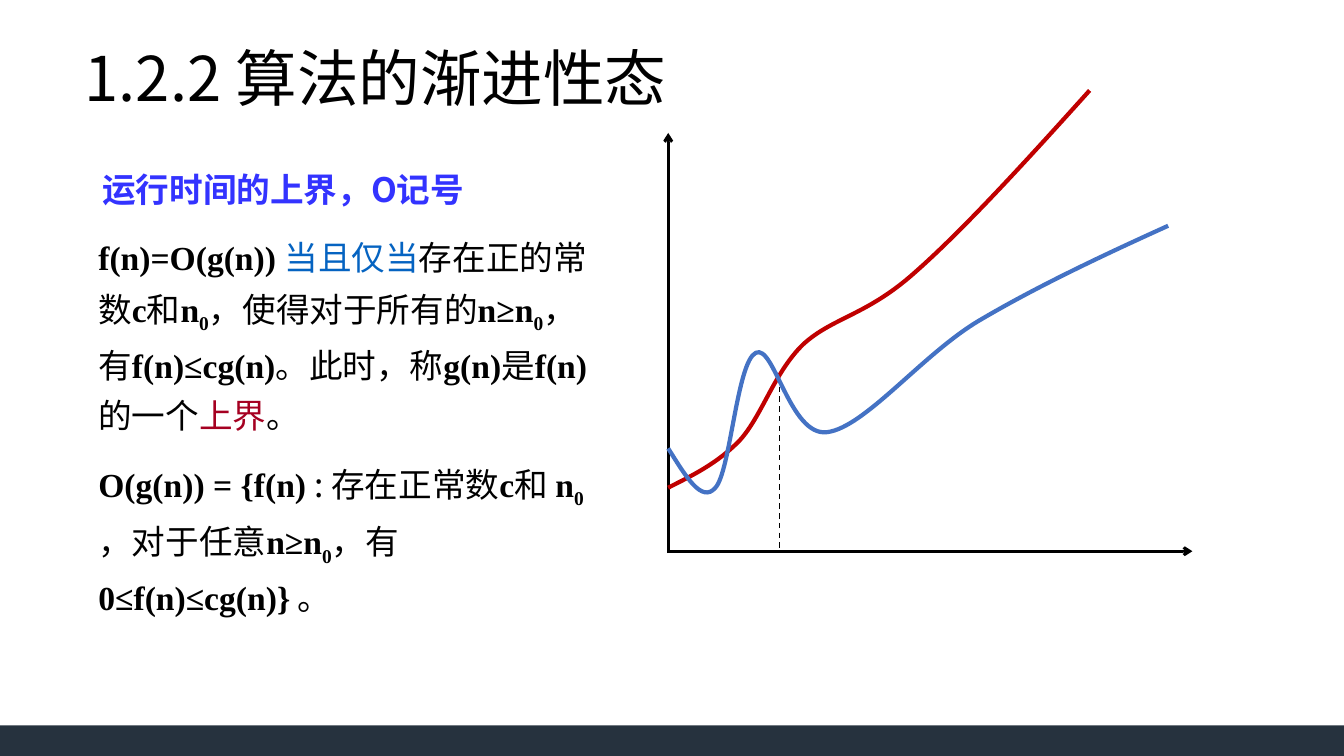
from dataclasses import dataclass

from lxml import etree
from pptx import Presentation
from pptx import util as u
from pptx.dml.color import RGBColor
from pptx.enum import dml, shapes, text
from pptx.oxml import ns


@dataclass(frozen=True)
class Theme:
    """Colours, fonts and type sizes of the deck."""
    ink: str = "000000"
    bar: str = "26323E"
    heading: str = "3333FF"
    link: str = "0563C1"
    accent: str = "A50021"
    upper: str = "C00000"
    lower: str = "4472C4"
    han: str = "Noto Sans CJK SC"
    math: str = "Times New Roman"
    title_size: int = 44
    body_size: int = 24


@dataclass(frozen=True)
class Box:
    """A rectangle in centimetres."""
    left: float
    top: float
    width: float
    height: float

    def lengths(self):
        """Return left, top, width and height as lengths."""
        return [u.Cm(side) for side in (self.left, self.top, self.width, self.height)]


THEME = Theme()
STYLES = {
    "han": {},
    "math": {"font": THEME.math, "bold": True},
    "sub": {"font": THEME.math, "bold": True, "baseline": -25000},
    "link": {"color": THEME.link},
    "accent": {"color": THEME.accent},
}
DEFINITION = [
    ("math", "f(n)=O(g(n)) "), ("link", "当且仅当"), ("han", "存在正的常数"),
    ("math", "c"), ("han", "和"), ("math", "n"), ("sub", "0"),
    ("han", "，使得对于所有的"), ("math", "n≥n"), ("sub", "0"), ("han", "，有"),
    ("math", "f(n)≤cg(n)"), ("han", "。此时，称"), ("math", "g(n)"), ("han", "是"),
    ("math", "f(n)"), ("han", "的一个"), ("accent", "上界"), ("han", "。"),
]
SET_FORM = [
    ("math", "O(g(n)) = {f(n) "), ("han", ": 存在正常数"), ("math", "c"),
    ("han", "和 "), ("math", "n"), ("sub", "0"), ("math", " "), ("han", "，对于任意"),
    ("math", "n≥n"), ("sub", "0"), ("han", "，有"), ("math", "0≤f(n)≤cg(n)}"),
    ("han", " 。"),
]
UPPER_CURVE = [
    (0, 1.6), (0.61, 1.91), (1.24, 2.21), (1.8, 2.79), (2.36, 3.4), (2.67, 4.5),
    (3.4, 5.21), (4.14, 5.89), (5, 5.94), (6.2, 7.01), (7.42, 8.08), (9.02, 9.83),
    (10.62, 11.61),
]
LOWER_CURVE = [
    (0, 2.59), (0.43, 1.91), (0.84, 1.19), (1.19, 1.6), (1.57, 2.01), (1.73, 4.78),
    (2.21, 5), (2.67, 5.23), (3.07, 2.87), (4.01, 3), (4.95, 3.12), (6.38, 4.93),
    (7.8, 5.79), (9.25, 6.65), (10.92, 7.44), (12.6, 8.2),
]


def add_span(para, words, font=THEME.han, size=THEME.body_size, color=THEME.ink,
             bold=False, baseline=0):
    """Append formatted words to a paragraph."""
    span = para.add_run()
    span.text = words
    span.font.name = font
    span.font.size = u.Pt(size)
    span.font.bold = bold
    span.font.color.rgb = RGBColor.from_string(color)
    properties = span.font._element
    properties.find(ns.qn("a:latin")).addnext(
        etree.Element(ns.qn("a:ea"), typeface=font))
    if baseline:
        properties.set("baseline", str(baseline))


def add_title(page, box, words):
    """Place and format the title placeholder."""
    title = page.shapes.title
    title.left, title.top, title.width, title.height = box.lengths()
    title.text_frame.vertical_anchor = text.MSO_ANCHOR.MIDDLE
    para = title.text_frame.paragraphs[0]
    para.alignment = text.PP_ALIGN.LEFT
    para.line_spacing = 0.9
    add_span(para, words, size=THEME.title_size)


def add_text(page, box, spacing, grow=False):
    """Add a wrapping text box and return its paragraph."""
    frame = page.shapes.add_textbox(*box.lengths()).text_frame
    frame.word_wrap = True
    if grow:
        frame.auto_size = text.MSO_AUTO_SIZE.SHAPE_TO_FIT_TEXT
    para = frame.paragraphs[0]
    para.line_spacing = spacing
    return para


def add_statement(page, box, spans):
    """Add a paragraph of mixed formulas and prose."""
    para = add_text(page, box, 1.25, grow=True)
    for style, words in spans:
        add_span(para, words, **STYLES[style])


def add_footer(page, box):
    """Draw the dark bar at the foot of the page."""
    bar = page.shapes.add_shape(shapes.MSO_SHAPE.RECTANGLE, *box.lengths())
    bar.shadow.inherit = False
    bar.fill.solid()
    bar.fill.fore_color.rgb = RGBColor.from_string(THEME.bar)
    bar.line.fill.background()


def add_line(page, start, end, width, arrow=False, dashed=False):
    """Draw a straight line between two points in centimetres."""
    ends = [u.Cm(value) for value in (*start, *end)]
    line = page.shapes.add_connector(shapes.MSO_CONNECTOR.STRAIGHT, *ends)
    line.line.width = u.Pt(width)
    line.line.color.rgb = RGBColor.from_string(THEME.ink)
    if dashed:
        line.line.dash_style = dml.MSO_LINE.DASH
    if arrow:
        etree.SubElement(line.line._get_or_add_ln(), ns.qn("a:tailEnd"), type="arrow")
    etree.SubElement(line._element.spPr, ns.qn("a:effectLst"))


def bend_segments(curve):
    """Turn each three straight segments of an outline into one cubic Bézier."""
    outline = next(curve._element.iter(ns.qn("a:path")))
    segments = outline.findall(ns.qn("a:lnTo"))
    for first in range(0, len(segments), 3):
        bend = etree.SubElement(outline, ns.qn("a:cubicBezTo"))
        for segment in segments[first:first + 3]:
            bend.append(segment[0])
            outline.remove(segment)


def add_curve(page, origin, controls, color):
    """Draw a smooth curve measured right and up from the origin."""
    points = [(u.Cm(origin[0] + x), u.Cm(origin[1] - y)) for x, y in controls]
    builder = page.shapes.build_freeform(*points[0])
    builder.add_line_segments(points[1:], close=False)
    curve = builder.convert_to_shape()
    bend_segments(curve)
    curve.shadow.inherit = False
    curve.fill.background()
    curve.line.width = u.Pt(3)
    curve.line.color.rgb = RGBColor.from_string(color)


def add_growth_plot(page, box):
    """Draw the axes, the crossing marker and the two growth curves."""
    left, base = box.left, box.top + box.height
    crossing = left + 2.8
    add_line(page, (crossing, base - 4.39), (crossing, base), 1, dashed=True)
    add_line(page, (left, base + 0.05), (left, box.top + 1.06), 2, arrow=True)
    add_line(page, (left, base), (left + box.width, base), 2, arrow=True)
    add_curve(page, (left, base), UPPER_CURVE, THEME.upper)
    add_curve(page, (left, base), LOWER_CURVE, THEME.lower)


def main():
    """Build the slide and save it."""
    deck = Presentation()
    deck.slide_width, deck.slide_height = u.Cm(33.87), u.Cm(19.05)
    page = deck.slides.add_slide(deck.slide_layouts[5])
    add_footer(page, Box(0, 18.28, 33.87, 0.77))
    add_title(page, Box(1.88, 0.21, 29.21, 3.68), "1.2.2 算法的渐进性态")
    heading = add_text(page, Box(2.33, 3.62, 29.64, 1.57), 1.5)
    add_span(heading, "运行时间的上界，O记号", color=THEME.heading, bold=True)
    add_statement(page, Box(2.23, 5.59, 13.16, 5.26), DEFINITION)
    add_growth_plot(page, Box(16.84, 2.29, 13.21, 11.6))
    add_statement(page, Box(2.23, 11.27, 12.8, 3.99), SET_FORM)
    deck.save("out.pptx")


if __name__ == "__main__":
    main()
